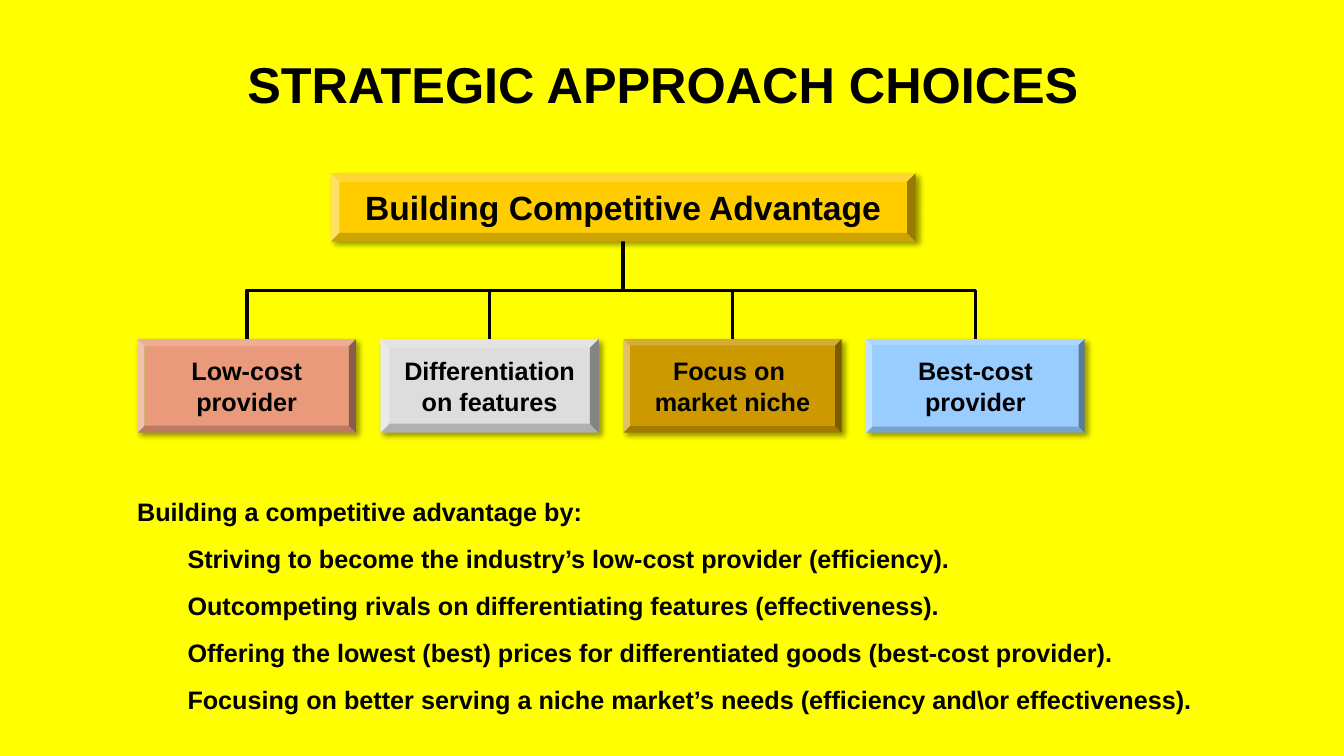
from lxml import etree
from pptx import Presentation
from pptx.dml.color import RGBColor
from pptx.enum.shapes import MSO_CONNECTOR, MSO_SHAPE
from pptx.enum.text import MSO_ANCHOR, MSO_AUTO_SIZE, PP_ALIGN
from pptx.oxml import parse_xml
from pptx.oxml.ns import qn
from pptx.util import Pt

PX = 9525
ELBOW = MSO_CONNECTOR.ELBOW
BEVEL = MSO_SHAPE.BEVEL
MIDDLE = MSO_ANCHOR.MIDDLE
NO_FIT = MSO_AUTO_SIZE.NONE
LEFT, CENTER = PP_ALIGN.LEFT, PP_ALIGN.CENTER

YELLOW = RGBColor(0xFF, 0xFF, 0x00)
BLACK = RGBColor(0x00, 0x00, 0x00)
GOLD = RGBColor(0xFF, 0xCC, 0x00)
SALMON = RGBColor(0xE9, 0x9A, 0x7B)
SILVER = RGBColor(0xDD, 0xDD, 0xDD)
OCHRE = RGBColor(0xCC, 0x99, 0x00)
SKY = RGBColor(0x99, 0xCC, 0xFF)

SHADOW = (
    '<a:effectLst xmlns:a="http://schemas.openxmlformats.org/drawingml/2006/main">'
    '<a:outerShdw blurRad="50800" dist="38100" dir="2700000" algn="tl" rotWithShape="0">'
    '<a:srgbClr val="000000"><a:alpha val="40000"/></a:srgbClr>'
    '</a:outerShdw></a:effectLst>'
)

CHOICES = [
    (["Low-cost provider"], SALMON, 0.076),
    (["Differentiation on features"], SILVER, 0.096),
    (["Focus on ", "market niche"], OCHRE, 0.07),
    (["Best-cost provider"], SKY, 0.063),
]
LIST_HEADING = "Building a competitive advantage by:"
LIST_ITEMS = [
    "Striving to become the industry’s low-cost provider (efficiency).",
    "Outcompeting rivals on differentiating features (effectiveness).",
    "Offering the lowest (best) prices for differentiated goods (best-cost provider).",
    "Focusing on better serving a niche market’s needs (efficiency and\\or effectiveness).",
]


def place(shape, left, top, width, height):
    shape.left, shape.top = round(left * PX), round(top * PX)
    shape.width, shape.height = round(width * PX), round(height * PX)


def add_span(para, text, size):
    span = para.add_run()
    span.text = text
    span.font.name = "Arial"
    span.font.size = Pt(size)
    span.font.bold = True
    span.font.color.rgb = BLACK


def add_title(page, left, top, width, height):
    title = page.shapes.title
    place(title, left, top, width, height)
    frame = title.text_frame
    frame.auto_size = NO_FIT
    frame.vertical_anchor = MIDDLE
    para = frame.paragraphs[0]
    para.alignment = LEFT
    para.line_spacing = 0.9
    add_span(para, "STRATEGIC APPROACH CHOICES", 36)


def add_bevel(page, left, top, width, height, lines, size, color, depth, inset, wrap):
    box = page.shapes.add_shape(BEVEL, 0, 0, 0, 0)
    place(box, left, top, width, height)
    box.adjustments[0] = depth
    box.fill.solid()
    box.fill.fore_color.rgb = color
    box.line.fill.background()
    box._element.spPr.append(parse_xml(SHADOW))
    frame = box.text_frame
    frame.word_wrap = wrap
    frame.vertical_anchor = MIDDLE
    frame.margin_left = frame.margin_right = 0
    frame.margin_top = frame.margin_bottom = inset * PX
    para = frame.paragraphs[0]
    para.alignment = CENTER
    for index, line in enumerate(lines):
        if index:
            para.add_line_break()
        add_span(para, line, size)


def add_branch(page, start_x, start_y, end_x, end_y):
    drop, reach = end_y - start_y, abs(end_x - start_x)
    branch = page.shapes.add_connector(ELBOW, 0, 0, 0, 0)
    place(branch, (start_x + end_x - drop) / 2, (start_y + end_y - reach) / 2, drop, reach)
    frame = branch._element.spPr.find(qn("a:xfrm"))
    if end_x < start_x:
        frame.set("rot", "5400000")
    else:
        frame.set("rot", "16200000")
        frame.set("flipH", "1")
    branch.line.color.rgb = BLACK
    branch.line.width = Pt(2.5)
    etree.SubElement(branch._element.spPr, qn("a:effectLst"))


def add_choice_tree(page, left, top, width, height):
    root_left, root_width, root_height = left + 184, 557, 65
    box_width, box_height = 208, 89
    box_top = top + height - box_height
    pitch = (width - box_width) / (len(CHOICES) - 1)
    for index, (lines, color, depth) in enumerate(CHOICES):
        box_left = left + index * pitch
        add_bevel(page, box_left, box_top, box_width, box_height,
                  lines, 18, color, depth, 5, True)
        add_branch(page, root_left + root_width / 2, top + root_height,
                   box_left + box_width / 2, box_top)
    add_bevel(page, root_left, top, root_width, root_height,
              ["Building Competitive Advantage"], 24, GOLD, 0.125, 0, False)


def add_advantage_list(page, left, top, width, height):
    body = page.placeholders[1]
    place(body, left, top, width, height)
    frame = body.text_frame
    frame.auto_size = NO_FIT
    for index, text in enumerate([LIST_HEADING] + LIST_ITEMS):
        para = frame.add_paragraph() if index else frame.paragraphs[0]
        para.level = 1 if index else 0
        para.space_before = Pt(12)
        props = para._p.get_or_add_pPr()
        props.set("marL", str(48 * PX if index else 0))
        props.set("indent", "0")
        etree.SubElement(props, qn("a:buNone"))
        add_span(para, text, 18)


def main():
    deck = Presentation()
    deck.slide_width, deck.slide_height = 1280 * PX, 720 * PX
    page = deck.slides.add_slide(deck.slide_layouts[1])
    page.background.fill.solid()
    page.background.fill.fore_color.rgb = YELLOW
    add_title(page, 226, 59, 829, 48)
    add_choice_tree(page, 131, 165, 902, 247)
    add_advantage_list(page, 121, 468, 1063, 220)
    deck.save("out.pptx")


if __name__ == "__main__":
    main()
